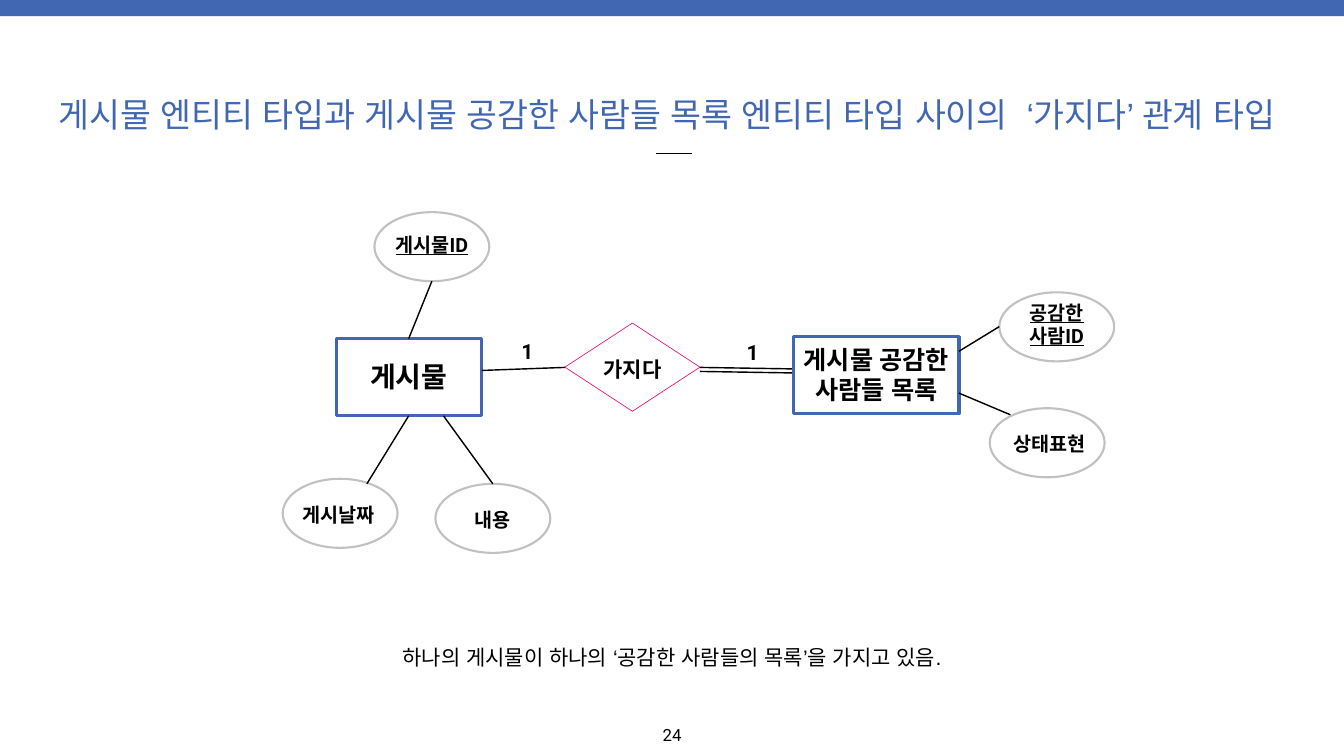
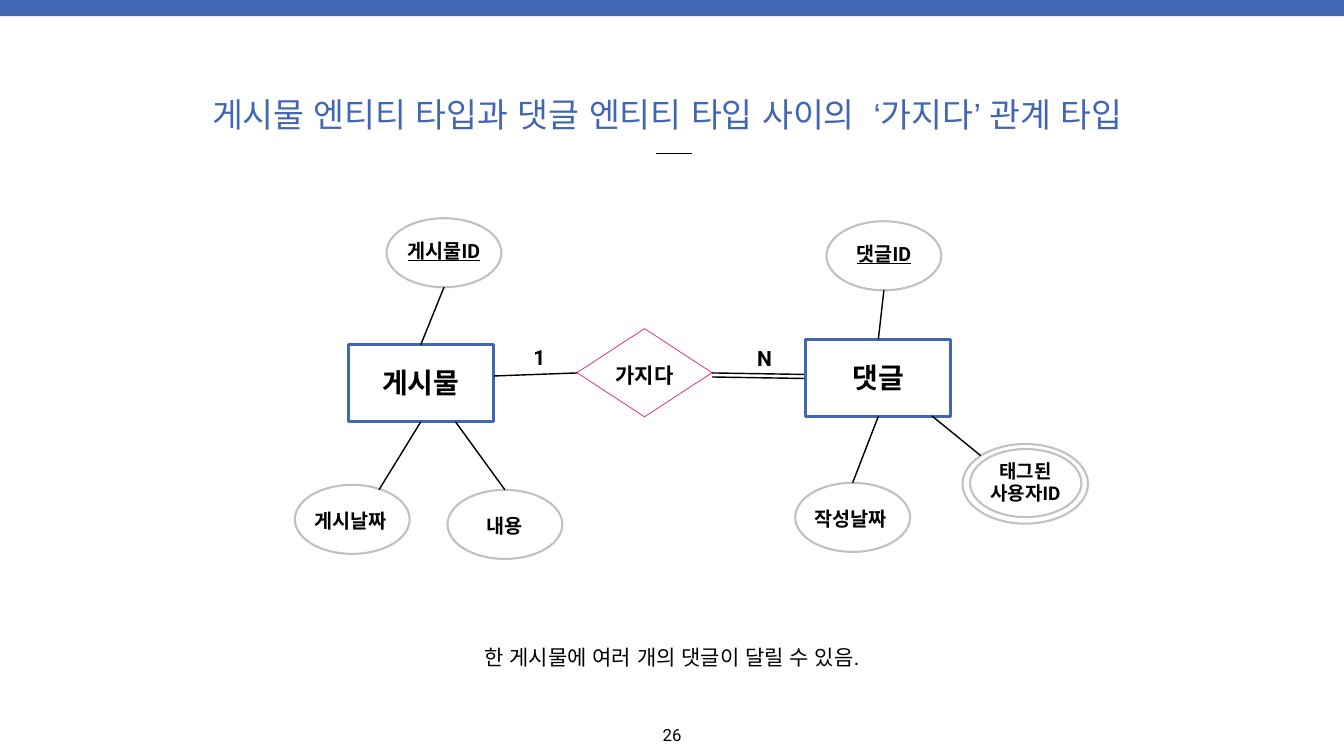
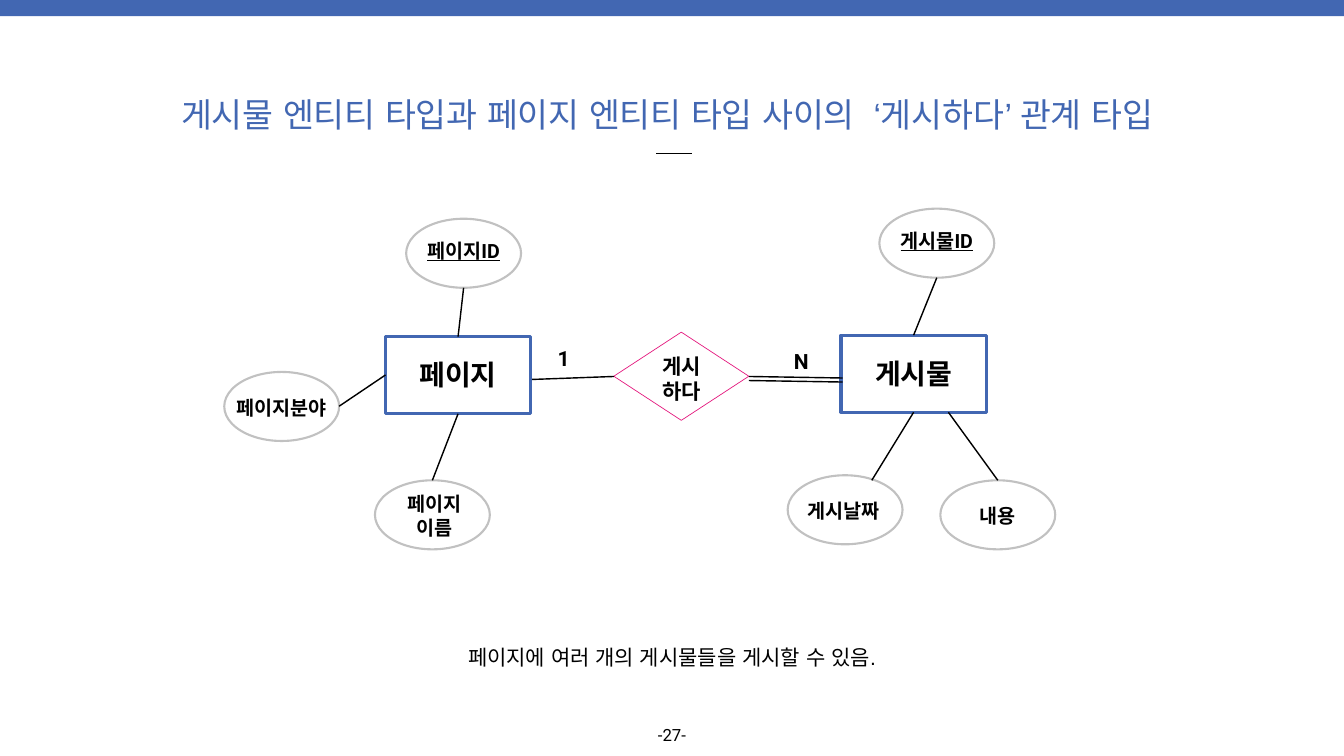
import pptx
import pptx.dml.color
import pptx.enum.shapes
import pptx.enum.text
import pptx.oxml.ns
import pptx.util
from lxml import etree

Inches = pptx.util.Inches
SHAPE = pptx.enum.shapes.MSO_SHAPE
ANCHOR = pptx.enum.text.MSO_ANCHOR

COLORS = {"brand": "4267B2", "paper": "FFFFFF", "ink": "000000",
          "attribute": "C1C1C1", "relation": "E4177D"}
SLIDE_W, SLIDE_H = 26.67, 15
OVAL_W, OVAL_H = 2.28, 1.37
ENTITY_W, ENTITY_H = 2.88, 1.53
DIAMOND_W, DIAMOND_H = 2.68, 1.75


def color(name):
    """Return the named colour."""
    return pptx.dml.color.RGBColor.from_string(COLORS[name])


def add_text(sl, text, cx, cy, w, h, size, font="Roboto", fill="ink", bold=True,
             underline=False, wrap=True, anchor=ANCHOR.MIDDLE):
    """Add a centred text box around the point (cx, cy)."""
    sp = sl.shapes.add_textbox(Inches(cx - w / 2), Inches(cy - h / 2), Inches(w), Inches(h))
    tf = sp.text_frame
    tf.margin_left = tf.margin_right = tf.margin_top = tf.margin_bottom = Inches(0.06)
    tf.word_wrap = wrap
    tf.auto_size = pptx.enum.text.MSO_AUTO_SIZE.SHAPE_TO_FIT_TEXT
    tf.vertical_anchor = anchor
    p = tf.paragraphs[0]
    p.alignment = pptx.enum.text.PP_ALIGN.CENTER
    r = p.add_run()
    r.text = text
    r.font.name = font
    r.font.size = pptx.util.Pt(size)
    r.font.bold = bold
    r.font.underline = underline
    r.font.color.rgb = color(fill)
    # The East Asian font also governs quotes and spaces next to Hangul.
    etree.SubElement(r._r.get_or_add_rPr(), pptx.oxml.ns.qn("a:ea"), typeface=font)


def add_box(sl, kind, x, y, w, h, line=None, width=1, fill="paper"):
    """Add a filled preset shape, outlined if a line colour is given."""
    sp = sl.shapes.add_shape(kind, Inches(x), Inches(y), Inches(w), Inches(h))
    sp.shadow.inherit = False
    sp.fill.solid()
    sp.fill.fore_color.rgb = color(fill)
    if line:
        sp.line.color.rgb = color(line)
        sp.line.width = pptx.util.Pt(width)
    else:
        sp.line.fill.background()


def add_line(sl, x1, y1, x2, y2):
    """Add a straight black line."""
    sp = sl.shapes.add_connector(pptx.enum.shapes.MSO_CONNECTOR.STRAIGHT,
                                 Inches(x1), Inches(y1), Inches(x2), Inches(y2))
    sp.line.color.rgb = color("ink")
    sp.line.width = pptx.util.Pt(2)
    etree.SubElement(sp._element.spPr, pptx.oxml.ns.qn("a:effectLst"))


def add_oval(sl, x, y, w=OVAL_W, h=OVAL_H):
    """Add the outline of an attribute."""
    add_box(sl, SHAPE.OVAL, x, y, w, h, "attribute", 3)


def add_attribute(sl, x, y, text, w=1.93, dx=0, key=False, rows=1):
    """Add an attribute oval with its label; a key is underlined."""
    add_oval(sl, x, y)
    cy = y + OVAL_H / 2 + (-0.05 if key else 0.02)
    add_text(sl, text, x + OVAL_W / 2 + dx, cy, 1.87 if key else w,
             1.05 if rows == 2 else 0.58, 28, underline=key)


def add_entity(sl, x, y, text, w=ENTITY_W, label_w=2.58, label_h=0.78, size=40):
    """Add an entity rectangle with its name."""
    add_box(sl, SHAPE.RECTANGLE, x, y, w, ENTITY_H, "brand", 4.5)
    add_text(sl, text, x + w / 2, y + ENTITY_H / 2 - 0.01, label_w, label_h, size)


def add_post(sl, x, y):
    """Add the post entity with its key and two attributes."""
    add_attribute(sl, x + 0.76, y - 2.51, "게시물ID", key=True)
    add_attribute(sl, x - 1.06, y + 2.78, "게시날짜", dx=-0.04)
    add_attribute(sl, x + 1.97, y + 2.88, "내용", w=1.68)
    add_entity(sl, x, y, "게시물")
    add_line(sl, x + 1.9, y - 1.14, x + 1.44, y)
    add_line(sl, x + 1.44, y + ENTITY_H, x + 0.61, y + 2.88)
    add_line(sl, x + 2.13, y + ENTITY_H, x + 3.11, y + 2.88)


def add_keyed_entity(sl, x, y, name, detail, dx, rows=1):
    """Add an entity with its key above and one attribute below."""
    add_attribute(sl, x + 0.41, y - 2.34, name + "ID", key=True)
    add_attribute(sl, x - 0.21, y + 2.85, detail, dx=dx, rows=rows)
    add_entity(sl, x, y, name)
    add_line(sl, x + 1.55, y - 0.97, x + 1.44, y)
    add_line(sl, x + 1.44, y + ENTITY_H, x + 0.93, y + 2.85)


def add_relation(sl, x, y, text, right, label_w=1.54, label_h=0.62, left_at=(-0.75, 0.56)):
    """Add a relation diamond, its single and double lines and cardinalities."""
    add_box(sl, SHAPE.DIAMOND, x, y, DIAMOND_W, DIAMOND_H, "relation", 1)
    add_text(sl, text, x + DIAMOND_W / 2, y + 0.92, label_w, label_h, 30)
    add_line(sl, x, y + 0.88, x - 1.65, y + 0.94)
    for dy in (0.88, 0.96):
        add_line(sl, x + DIAMOND_W, y + dy, x + 4.54, y + dy + 0.03)
    add_text(sl, "1", x + left_at[0], y + left_at[1], 0.35, 0.62, 30, wrap=False)
    add_text(sl, right, x + 3.72, y + 0.58, 0.35 if right == "1" else 0.42, 0.62, 30,
             wrap=False)


def new_slide(prs, title, title_w, caption, caption_w, number):
    """Add a slide with band, title, divider, caption and page number."""
    sl = prs.slides.add_slide(prs.slide_layouts[6])
    sl.background.fill.solid()
    sl.background.fill.fore_color.rgb = color("paper")
    cx = SLIDE_W / 2
    add_box(sl, SHAPE.RECTANGLE, 0, -0.03, SLIDE_W, 0.35, fill="brand")
    add_text(sl, title, cx, 2.27, title_w, 0.92, 48, font="Arial", fill="brand",
             bold=False, wrap=False)
    add_line(sl, 13.02, 3.05, 13.73, 3.05)
    add_text(sl, caption, cx, 13.03, caption_w, 0.62, 30, font="Arial", bold=False,
             wrap=False)
    add_text(sl, number, cx, 14.56, 0.72, 0.5, 24, bold=False, wrap=False,
             anchor=ANCHOR.TOP)
    return sl


def build_reactions(prs):
    """Post and the list of people who reacted to it."""
    sl = new_slide(
        prs, "게시물 엔티티 타입과 게시물 공감한 사람들 목록 엔티티 타입 사이의  ‘가지다’ 관계 타입 ", 25.59,
        "하나의 게시물이 하나의 ‘공감한 사람들의 목록’을 가지고 있음.", 11.34, "24")
    add_post(sl, 6.67, 6.72)
    add_relation(sl, 11.21, 6.41, "가지다", "1")
    add_attribute(sl, 19.64, 8.1, "상태표현", dx=0.04)
    add_attribute(sl, 19.83, 5.8, "공감한 사람ID", key=True, rows=2)
    add_entity(sl, 15.75, 6.68, "게시물 공감한 사람들 목록", w=3.28, label_w=3.36,
               label_h=1.31, size=36)
    add_line(sl, 19.03, 6.97, 19.83, 6.48)
    add_line(sl, 19.03, 7.8, 20.05, 8.23)


def build_comments(prs):
    """Post and its comments."""
    sl = new_slide(
        prs, "게시물 엔티티 타입과 댓글 엔티티 타입 사이의  ‘가지다’ 관계 타입 ", 19.48,
        "한 게시물에 여러 개의 댓글이 달릴 수 있음.", 8.03, "26")
    add_post(sl, 6.91, 6.84)
    add_relation(sl, 11.45, 6.52, "가지다", "N")
    add_keyed_entity(sl, 15.99, 6.73, "댓글", "작성날짜", dx=-0.04)
    add_oval(sl, 19.1, 8.81, 2.49, 1.58)
    add_oval(sl, 19.25, 8.91, 2.21, 1.35)
    add_text(sl, "태그된 사용자ID", 20.35, 9.56, 1.65, 1.02, 27)
    add_line(sl, 18.49, 8.25, 19.46, 9.04)


def build_pages(prs):
    """Page and the posts published on it."""
    sl = new_slide(
        prs, "게시물 엔티티 타입과 페이지 엔티티 타입 사이의  ‘게시하다’ 관계 타입 ", 20.52,
        "페이지에 여러 개의 게시물들을 게시할 수 있음.", 8.62, "-27-")
    add_post(sl, 16.69, 6.65)
    add_relation(sl, 12.18, 6.59, "게시하다", "N", label_w=1.24, label_h=1.12,
                 left_at=(-1, 0.51))
    add_keyed_entity(sl, 7.65, 6.68, "페이지", "페이지 이름", dx=0.04, rows=2)
    add_attribute(sl, 4.45, 7.38, "페이지분야", w=OVAL_W)
    add_line(sl, 6.73, 8.06, 7.65, 7.44)


def main():
    """Build and save the presentation."""
    prs = pptx.Presentation()
    prs.slide_width, prs.slide_height = Inches(SLIDE_W), Inches(SLIDE_H)
    build_reactions(prs)
    build_comments(prs)
    build_pages(prs)
    prs.save("out.pptx")


main()
